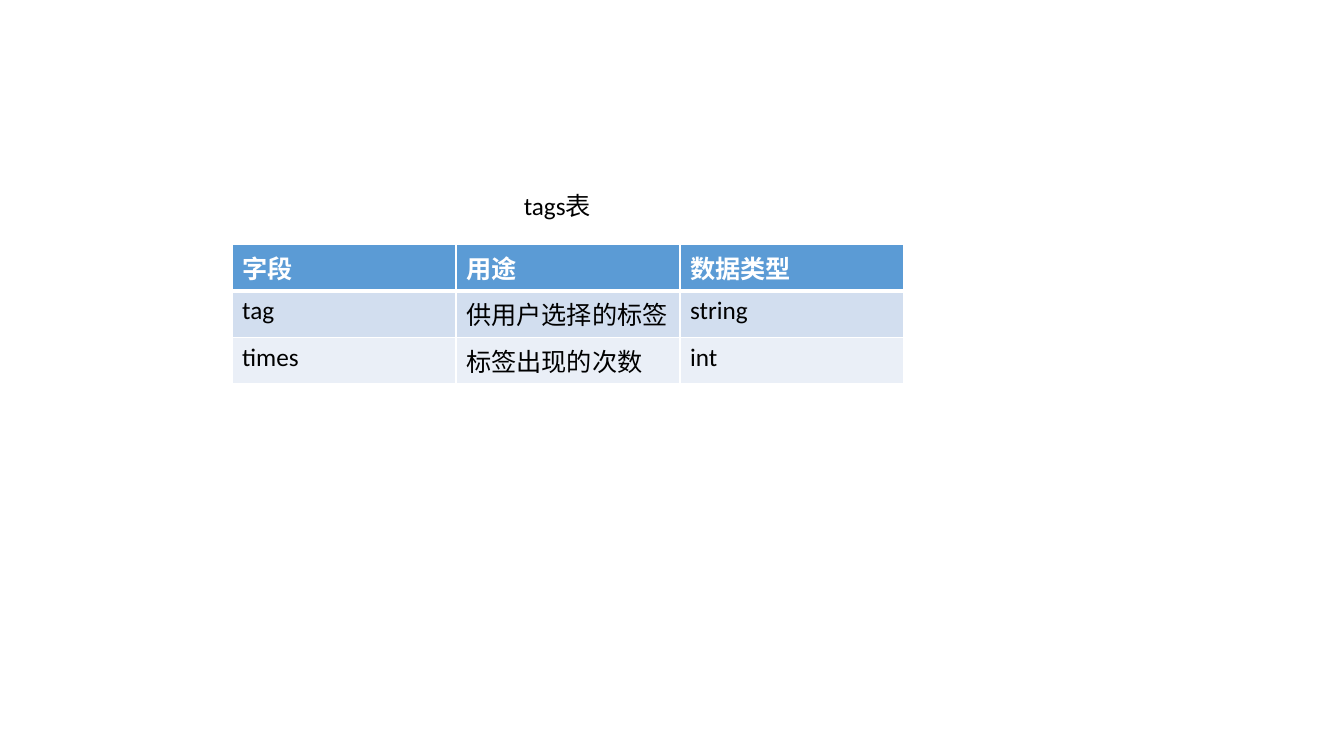
from dataclasses import dataclass

import lxml.etree
import pptx
import pptx.dml.color
import pptx.enum.text
import pptx.oxml.ns
import pptx.util

Cm = pptx.util.Cm
Pt = pptx.util.Pt
RGBColor = pptx.dml.color.RGBColor


@dataclass(frozen=True)
class Theme:
    font: str = "Calibri"
    size: int = 18
    text: str = "000000"
    header_text: str = "FFFFFF"
    border: str = "FFFFFF"
    row_fills: tuple = ("5B9BD5", "D2DEEF", "EAEFF7")
    thin: int = 1
    thick: int = 3


theme = Theme()


def format_text(text_frame, color, bold=False):
    for paragraph in text_frame.paragraphs:
        for run in paragraph.runs:
            run.font.name = theme.font
            run.font.size = Pt(theme.size)
            run.font.bold = bold
            run.font.color.rgb = RGBColor.from_string(color)


def add_border(cell, side, width):
    """Draw one side of a cell: L, R, T or B, in that order, before the fill is set."""
    qn = pptx.oxml.ns.qn
    line = lxml.etree.SubElement(
        cell._tc.get_or_add_tcPr(), qn(f"a:ln{side}"), w=str(Pt(width)))
    solid = lxml.etree.SubElement(line, qn("a:solidFill"))
    lxml.etree.SubElement(solid, qn("a:srgbClr"), val=theme.border)


presentation = pptx.Presentation()
presentation.slide_width = Cm(33.87)
presentation.slide_height = Cm(19.05)
slide = presentation.slides.add_slide(presentation.slide_layouts[6])

tag_fields = [
    ("字段", "用途", "数据类型"),
    ("tag", "供用户选择的标签", "string"),
    ("times", "标签出现的次数", "int"),
]
fields_table = slide.shapes.add_table(
    len(tag_fields), len(tag_fields[0]),
    Cm(5.85), Cm(6.15), Cm(16.93), Cm(3.09)).table

for row, values in enumerate(tag_fields):
    is_header = row == 0
    for column, value in enumerate(values):
        cell = fields_table.cell(row, column)
        cell.text_frame.text = value
        format_text(cell.text_frame,
                    theme.header_text if is_header else theme.text, is_header)
        for side in "LRTB":
            meets_header = (row, side) in ((0, "B"), (1, "T"))
            add_border(cell, side, theme.thick if meets_header else theme.thin)
        cell.fill.solid()
        cell.fill.fore_color.rgb = RGBColor.from_string(theme.row_fills[row])

caption = slide.shapes.add_textbox(Cm(12.95), Cm(4.67), Cm(9.53), Cm(1.03)).text_frame
caption.word_wrap = True
caption.auto_size = pptx.enum.text.MSO_AUTO_SIZE.SHAPE_TO_FIT_TEXT
caption.text = "tags表"
format_text(caption, theme.text)

presentation.save("out.pptx")
